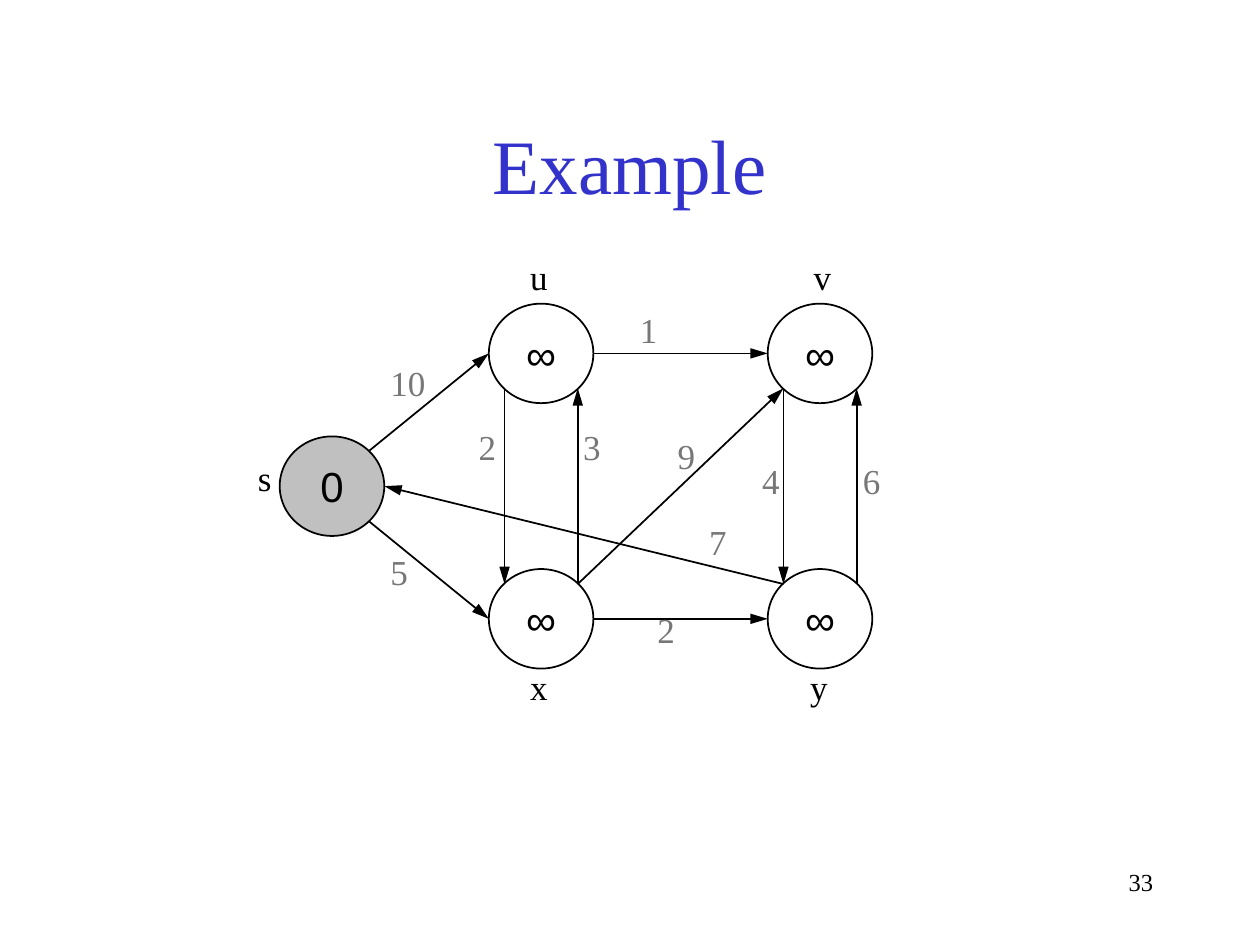
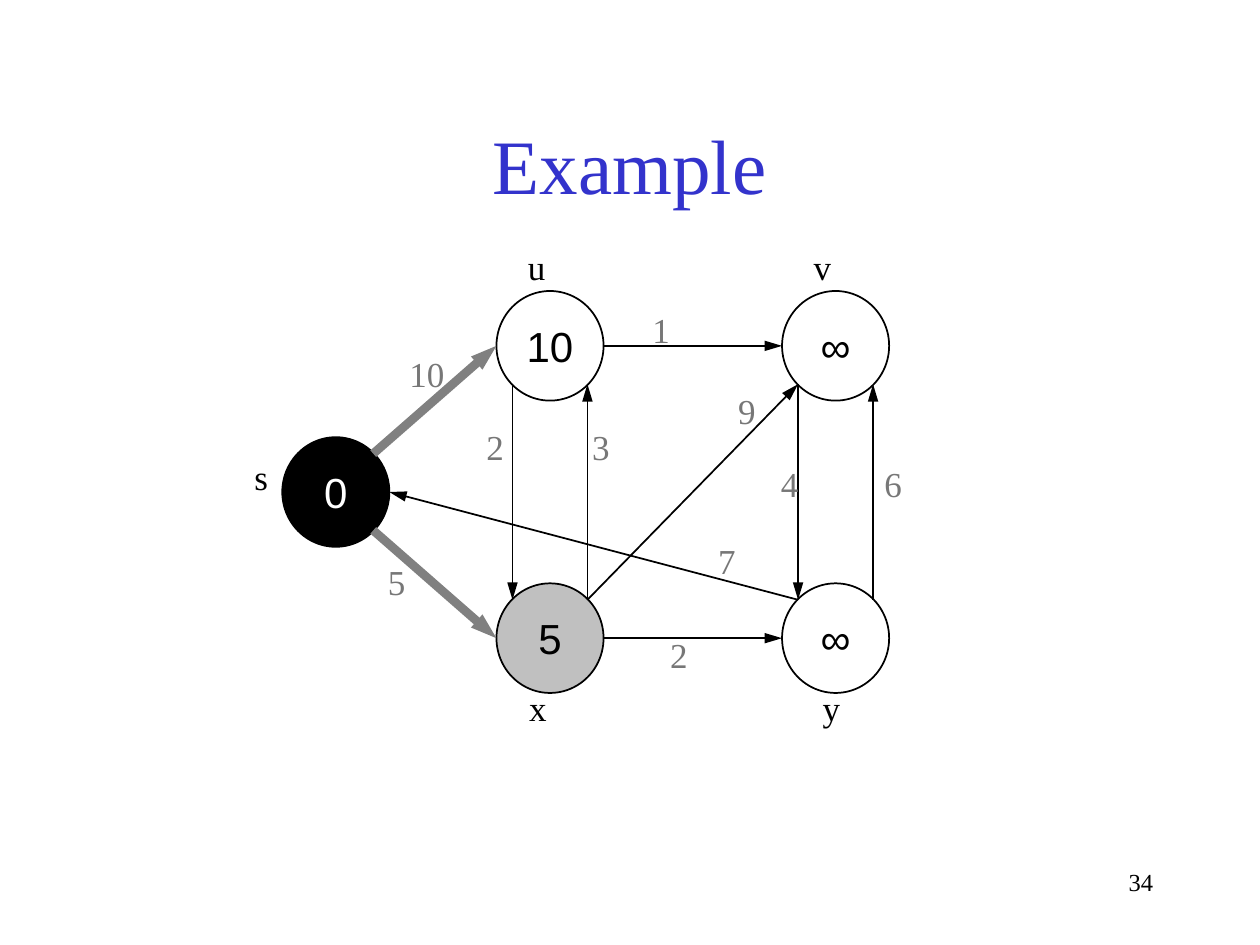
from dataclasses import dataclass

from lxml.etree import SubElement
from pptx import Presentation
from pptx.dml.color import RGBColor
from pptx.enum.shapes import MSO_CONNECTOR as Connector, MSO_SHAPE as Shape
from pptx.enum.text import MSO_ANCHOR as Anchor, PP_ALIGN as Align
from pptx.oxml.ns import qn
from pptx.slide import Slide
from pptx.text.text import TextFrame
from pptx.util import Inches, Pt

COLORS = {
    "title": "3333CC", "ink": "000000", "paper": "FFFFFF",
    "weight": "777777", "next": "C0C0C0", "relaxed": "808080",
}
SERIF, SANS = "Times New Roman", "Arial"
SLIDE_W, SLIDE_H = 10, 7.5

# Vertices sit on a grid of cells and are NODE_SPAN cells wide and high
NODE_SPAN = 3
VERTICES = {"u": (6, 0), "v": (14, 0), "x": (6, 8), "y": (14, 8), "s": (0, 4)}

# Points on a vertex where edges meet it, as shares of its size
NEAR, FAR = 0.15, 0.85
SITES = {
    "left": (0, 0.5), "right": (1, 0.5),
    "top left": (NEAR, NEAR), "top right": (FAR, NEAR),
    "bottom left": (NEAR, FAR), "bottom right": (FAR, FAR),
}


@dataclass(frozen=True)
class Edge:
    start: str
    start_site: str
    end: str
    end_site: str
    weight: str
    label_span: int = 2

    @property
    def key(self) -> str:
        return self.start + self.end


EDGES = [
    Edge("u", "bottom left", "x", "top left", "2"),
    Edge("x", "top right", "u", "bottom right", "3"),
    Edge("u", "right", "v", "left", "1", 3),
    Edge("x", "top right", "v", "bottom left", "9"),
    Edge("v", "bottom left", "y", "top left", "4"),
    Edge("y", "top right", "v", "bottom right", "6"),
    Edge("x", "right", "y", "left", "2"),
    Edge("y", "top left", "s", "right", "7"),
    Edge("s", "bottom right", "x", "left", "5", 3),
    Edge("s", "top right", "u", "left", "10", 3),
]


@dataclass(frozen=True)
class Grid:
    left: float
    top: float
    node_w: float
    node_h: float

    def x(self, column: float) -> float:
        return self.left + column * self.node_w / NODE_SPAN

    def y(self, row: float) -> float:
        return self.top + row * self.node_h / NODE_SPAN

    def site(self, vertex: str, site: str) -> tuple[float, float]:
        column, row = VERTICES[vertex]
        across, down = SITES[site]
        return self.x(column + across * NODE_SPAN), self.y(row + down * NODE_SPAN)


@dataclass(frozen=True)
class Step:
    """One stage of the shortest-path search."""
    number: str
    grid: Grid
    distances: dict[str, str]
    fills: dict[str, str]
    relaxed: tuple[str, ...]
    labels: dict[str, tuple[float, float]]  # column and row, by vertex or edge


STEPS = [
    Step(
        "33", Grid(2.22, 2.41, 0.83, 0.79),
        {"s": "0"}, {"s": "next"}, (),
        {"s": (-0.98, 4.41), "u": (6.83, -1.63), "v": (14.96, -1.63),
         "x": (6.83, 10.71), "y": (14.86, 10.71),
         "su": (2.82, 1.56), "sx": (2.82, 7.25), "uv": (9.98, -0.04),
         "ux": (5.35, 3.49), "xu": (8.35, 3.49), "xv": (11.06, 3.76),
         "vy": (13.48, 4.52), "yv": (16.37, 4.52), "ys": (11.96, 6.34),
         "xy": (10.48, 9)},
    ),
    Step(
        "34", Grid(2.24, 2.31, 0.85, 0.87),
        {"s": "0", "u": "10", "x": "5"}, {"s": "ink", "x": "next"}, ("su", "sx"),
        {"s": (-1.13, 4.34), "u": (6.53, -1.41), "v": (14.54, -1.41),
         "x": (6.57, 10.66), "y": (14.79, 10.66),
         "su": (3.21, 1.52), "sx": (2.61, 7.21), "uv": (10.02, 0.31),
         "ux": (5.37, 3.52), "xu": (8.33, 3.52), "xv": (12.42, 2.52),
         "vy": (13.62, 4.52), "yv": (16.52, 4.52), "ys": (11.86, 6.62),
         "xy": (10.52, 9.21)},
    ),
]


def rgb(color: str) -> RGBColor:
    return RGBColor.from_string(COLORS[color])


def write(frame: TextFrame, text: str, size: float, color: str,
          font: str = SERIF, align: Align = Align.LEFT, before: float = 0) -> None:
    paragraph = frame.paragraphs[0]
    paragraph.alignment = align
    paragraph.space_before = Pt(before)
    run = paragraph.add_run()
    run.text = text
    run.font.name, run.font.size = font, Pt(size)
    run.font.color.rgb = rgb(color)


def add_text_box(slide: Slide, left: float, top: float, width: float,
                 height: float) -> TextFrame:
    box = slide.shapes.add_textbox(*map(Inches, (left, top, width, height)))
    box.text_frame.word_wrap = True
    return box.text_frame


def add_label(slide: Slide, step: Step, key: str, text: str, color: str,
              span: int = 2) -> None:
    column, row = step.labels[key]
    grid = step.grid
    frame = add_text_box(slide, grid.x(column), grid.y(row),
                         span * grid.node_w / NODE_SPAN, 0.44)
    write(frame, text, 20, color, before=12.5)


def add_vertex(slide: Slide, step: Step, vertex: str) -> None:
    column, row = VERTICES[vertex]
    grid = step.grid
    node = slide.shapes.add_shape(
        Shape.OVAL, Inches(grid.x(column)), Inches(grid.y(row)),
        Inches(grid.node_w), Inches(grid.node_h))
    node.shadow.inherit = False
    node.line.color.rgb, node.line.width = rgb("ink"), Pt(1)
    fill = step.fills.get(vertex)
    if fill:
        node.fill.solid()
        node.fill.fore_color.rgb = rgb(fill)
    else:
        node.fill.background()
    frame = node.text_frame
    frame.word_wrap, frame.vertical_anchor = False, Anchor.MIDDLE
    write(frame, step.distances.get(vertex, "∞"), 24,
          "paper" if fill == "ink" else "ink", SANS, Align.CENTER)


def add_edge(slide: Slide, step: Step, edge: Edge) -> None:
    start = step.grid.site(edge.start, edge.start_site)
    end = step.grid.site(edge.end, edge.end_site)
    arrow = slide.shapes.add_connector(Connector.STRAIGHT, *map(Inches, start + end))
    relaxed = edge.key in step.relaxed
    arrow.line.color.rgb = rgb("relaxed" if relaxed else "ink")
    arrow.line.width = Pt(5 if relaxed else 1)
    # Long arrowheads on thin edges, compact ones on relaxed edges
    SubElement(arrow.line._get_or_add_ln(), qn("a:tailEnd"), type="triangle",
               w="sm" if relaxed else "med", len="med" if relaxed else "lg")
    SubElement(arrow._element.spPr, qn("a:effectLst"))


def add_frame(slide: Slide, number: str) -> None:
    """Title and slide number shared by all slides."""
    title = add_text_box(slide, 0.075 * SLIDE_W, 0.09 * SLIDE_H,
                         0.85 * SLIDE_W, SLIDE_H / 6)
    title.vertical_anchor = Anchor.MIDDLE
    write(title, "Example", 44, "title", align=Align.CENTER)
    footer = add_text_box(slide, 0.717 * SLIDE_W, 0.911 * SLIDE_H,
                          0.208 * SLIDE_W, SLIDE_H / 15)
    write(footer, number, 14, "ink", align=Align.RIGHT)


def add_step(slide: Slide, step: Step) -> None:
    add_frame(slide, step.number)
    # Graph
    for vertex in VERTICES:
        add_vertex(slide, step, vertex)
    for edge in EDGES:
        add_edge(slide, step, edge)
    # Vertex names and edge weights
    for vertex in VERTICES:
        add_label(slide, step, vertex, vertex, "ink")
    for edge in EDGES:
        add_label(slide, step, edge.key, edge.weight, "weight", edge.label_span)


def main() -> None:
    deck = Presentation()
    deck.slide_width, deck.slide_height = Inches(SLIDE_W), Inches(SLIDE_H)
    for step in STEPS:
        add_step(deck.slides.add_slide(deck.slide_layouts[6]), step)
    deck.save("out.pptx")


if __name__ == "__main__":
    main()
